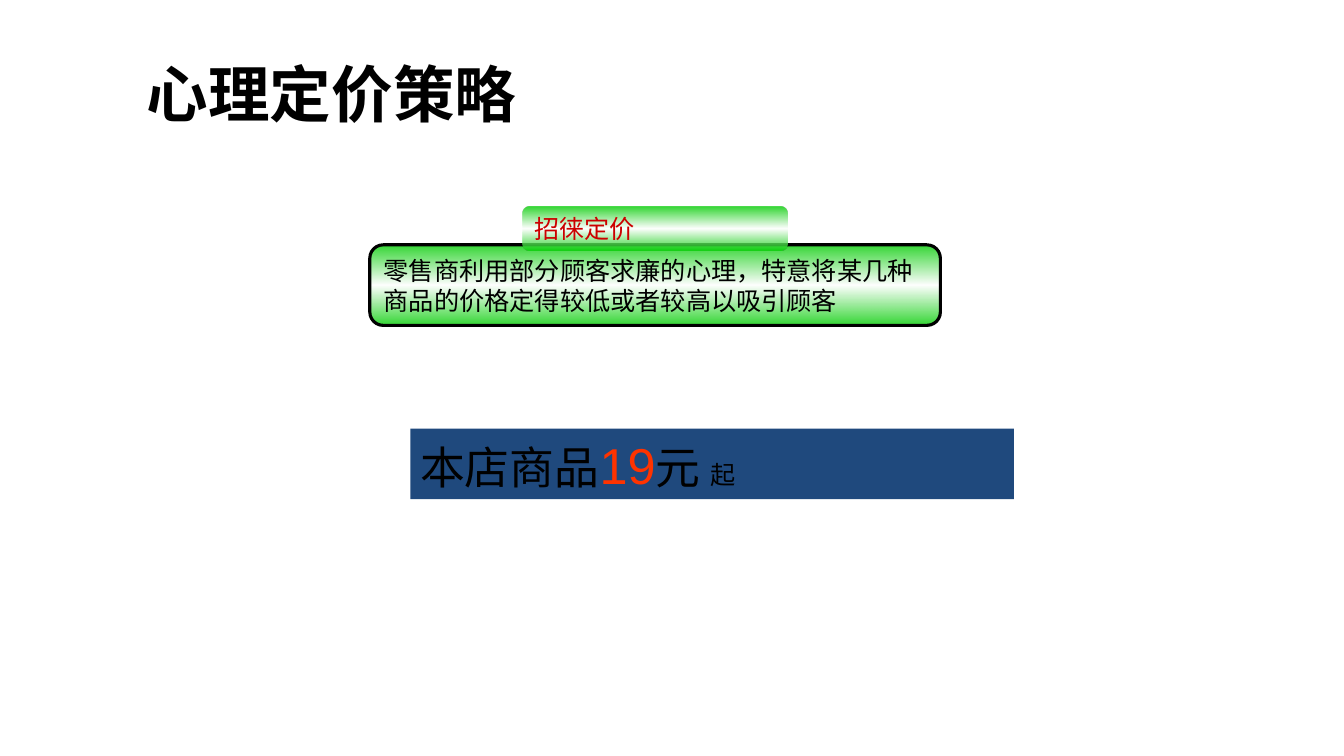
from lxml.etree import SubElement
from pptx import Presentation
from pptx.dml.color import RGBColor
from pptx.enum.shapes import MSO_SHAPE
from pptx.enum.text import MSO_ANCHOR, PP_ALIGN
from pptx.oxml.ns import qn
from pptx.util import Cm, Pt

COLORS = {
    "black": "000000",
    "white": "FFFFFF",
    "green": "00CC00",
    "crimson": "CC0000",
    "orange": "FF3300",
    "navy": "1F497D",
}
CJK_FONT = "Noto Sans CJK SC"


def rgb(name):
    """Return the named colour."""
    return RGBColor.from_string(COLORS[name])


def add_run(p, text, size=18, color="black", font="Arial", bold=False):
    """Add a formatted run to a paragraph."""
    r = p.add_run()
    r.text = text
    r.font.size = Pt(size)
    r.font.bold = bold
    r.font.name = font
    r.font.color.rgb = rgb(color)
    SubElement(r.font._element, qn("a:ea"), typeface=CJK_FONT)


def start_text(sp):
    """Prepare a shape for left-aligned wrapped text and return its paragraph."""
    tf = sp.text_frame
    tf.word_wrap = True
    tf.vertical_anchor = MSO_ANCHOR.MIDDLE
    p = tf.paragraphs[0]
    p.alignment = PP_ALIGN.LEFT
    return p


def add_title(s, text, box):
    """Add the slide title."""
    sp = s.shapes.add_textbox(*map(Cm, box))
    add_run(start_text(sp), text, size=44, font=CJK_FONT, bold=True)


def fill_green_gradient(sp):
    """Fill a shape with a translucent vertical green-white-green gradient."""
    sp.fill.gradient()
    sp.fill.gradient_angle = 90
    stops = sp._element.spPr.find(qn("a:gradFill")).find(qn("a:gsLst"))
    for stop in list(stops):
        stops.remove(stop)
    for pos, name in ((0, "green"), (50, "white"), (100, "green")):
        stop = SubElement(stops, qn("a:gs"), pos=str(pos * 1000))
        color = SubElement(stop, qn("a:srgbClr"), val=COLORS[name])
        SubElement(color, qn("a:alpha"), val="80000")


def add_panel(s, text, box, color="black", outline=None):
    """Add a rounded gradient panel with text."""
    sp = s.shapes.add_shape(MSO_SHAPE.ROUNDED_RECTANGLE, *map(Cm, box))
    sp.shadow.inherit = False
    fill_green_gradient(sp)
    if outline:
        sp.line.color.rgb = rgb(outline)
        sp.line.width = Pt(2.25)
    else:
        sp.line.fill.background()
    add_run(start_text(sp), text, color=color)


def add_banner(s, runs, box):
    """Add the price banner with mixed text sizes."""
    sp = s.shapes.add_shape(MSO_SHAPE.RECTANGLE, *map(Cm, box))
    sp.shadow.inherit = False
    sp.fill.solid()
    sp.fill.fore_color.rgb = rgb("navy")
    sp.line.fill.background()
    p = start_text(sp)
    for text, size, color in runs:
        add_run(p, text, size=size, color=color)


def main():
    """Build and save the slide."""
    prs = Presentation()
    prs.slide_width, prs.slide_height = Cm(33.87), Cm(19.05)
    s = prs.slides.add_slide(prs.slide_layouts[6])
    add_title(s, "心理定价策略", (3.45, 0.76, 28.73, 3.18))
    add_panel(
        s,
        "零售商利用部分顾客求廉的心理，特意将某几种商品的价格定得较低或者较高以吸引顾客",
        (9.32, 6.17, 14.38, 2.03),
        outline="black",
    )
    add_panel(s, "招徕定价", (13.16, 5.21, 6.68, 1.09), color="crimson")
    price_runs = (
        ("本店商品", 32, "black"),
        ("19", 36, "orange"),
        ("元 ", 32, "black"),
        ("起", 18, "black"),
    )
    add_banner(s, price_runs, (10.34, 10.8, 15.21, 1.78))
    prs.save("out.pptx")


if __name__ == "__main__":
    main()
